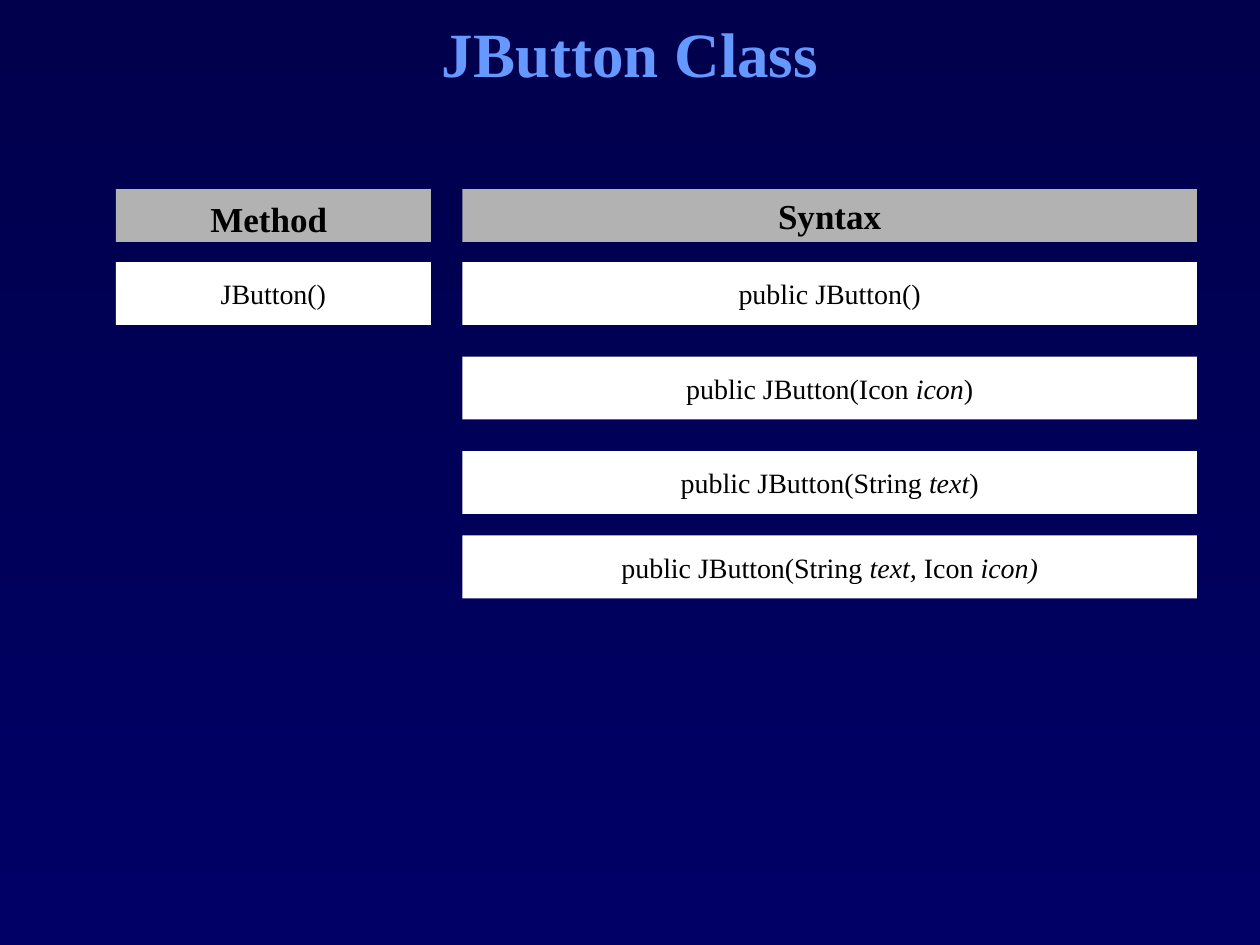
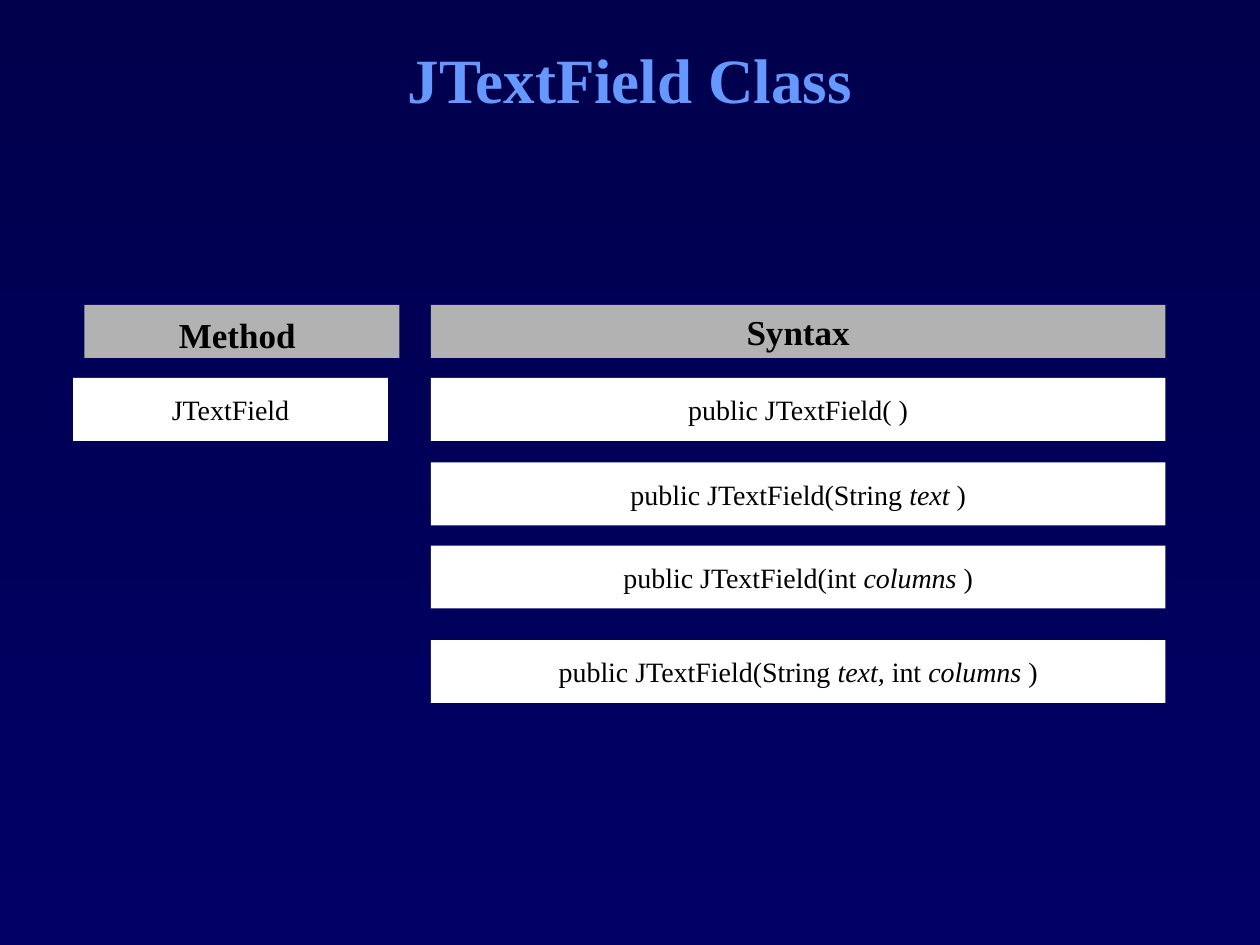
import dataclasses

import lxml.etree
import pptx
import pptx.dml.color
import pptx.enum.shapes
import pptx.enum.text
import pptx.oxml.ns
import pptx.util

Inches = pptx.util.Inches
Pt = pptx.util.Pt
RGB = pptx.dml.color.RGBColor.from_string


@dataclasses.dataclass(frozen=True)
class Theme:
    font: str = "Times New Roman"
    top: str = "00004C"
    base: str = "000066"
    title: str = "6699FF"
    head: str = "B2B2B2"
    cell: str = "FFFFFF"
    ink: str = "000000"
    title_size: int = 36
    head_size: int = 20
    tab_size: int = 24
    cell_size: int = 16


THEME = Theme()

# Column widths, gap between columns, row heights
METHOD_W, SYNTAX_W, GAP = 2.5, 5.83, 0.25
HEAD_H, CELL_H = 0.42, 0.5
HEAD_STEP = 0.58


def add_run(para, text, size, color, bold=False, italic=False):
    run = para.add_run()
    run.text = text
    font = run.font
    font.name, font.size = THEME.font, Pt(size)
    font.bold, font.italic = bold, italic
    font.color.rgb = RGB(color)


def center(frame):
    """Centre a text frame both ways and return its paragraph."""
    frame.vertical_anchor = pptx.enum.text.MSO_ANCHOR.MIDDLE
    para = frame.paragraphs[0]
    para.alignment = pptx.enum.text.PP_ALIGN.CENTER
    return para


def add_tabs(para):
    """Set a left tab stop at every inch."""
    qn = pptx.oxml.ns.qn
    stops = lxml.etree.SubElement(para._p.get_or_add_pPr(), qn("a:tabLst"))
    for inch in range(8):
        lxml.etree.SubElement(stops, qn("a:tab"), pos=str(Inches(inch)), algn="l")


def add_page(deck):
    """Add a slide with the shared gradient background."""
    slide = deck.slides.add_slide(deck.slide_layouts[6])
    fill = slide.background.fill
    fill.gradient()
    fill.gradient_angle = 270
    for stop, color in zip(fill.gradient_stops, (THEME.top, THEME.base)):
        stop.color.rgb = RGB(color)
    return slide


def add_title(slide, text, height):
    box = slide.shapes.add_textbox(Inches(0.75), 0, Inches(8.5), Inches(height))
    box.text_frame.word_wrap = True
    add_run(center(box.text_frame), text, THEME.title_size, THEME.title, bold=True)


def add_bar(slide, left, top, width, height, color):
    """Add a plain rectangle and return its centred paragraph."""
    bar = slide.shapes.add_shape(
        pptx.enum.shapes.MSO_SHAPE.RECTANGLE,
        Inches(left), Inches(top), Inches(width), Inches(height))
    bar.shadow.inherit = False
    bar.fill.solid()
    bar.fill.fore_color.rgb = RGB(color)
    bar.line.fill.background()
    bar.text_frame.word_wrap = False
    return center(bar.text_frame)


def add_head(slide, left, top, width, text, tabbed=False):
    para = add_bar(slide, left, top, width, HEAD_H, THEME.head)
    if tabbed:
        add_tabs(para)
    add_run(para, text, THEME.head_size, THEME.ink, bold=True)
    if tabbed:
        add_run(para, "\t", THEME.tab_size, THEME.ink)


def add_cell(slide, left, top, width, text):
    """Add a white cell; text between asterisks is italic."""
    para = add_bar(slide, left, top, width, CELL_H, THEME.cell)
    for index, part in enumerate(text.split("*")):
        if part:
            add_run(para, part, THEME.cell_size, THEME.ink, italic=index % 2 == 1)


def add_class(deck, title, title_h, left, top, method, method_left, rows):
    """Build one class slide; rows pair a top edge with a syntax line."""
    slide = add_page(deck)
    add_title(slide, title, title_h)
    syntax_left = left + METHOD_W + GAP
    # Header bars
    add_head(slide, left, top, METHOD_W, "Method", tabbed=True)
    add_head(slide, syntax_left, top, SYNTAX_W, "Syntax")
    # Method and its constructors
    add_cell(slide, method_left, top + HEAD_STEP, METHOD_W, method)
    for row_top, text in rows:
        add_cell(slide, syntax_left, row_top, SYNTAX_W, text)


def main():
    deck = pptx.Presentation()
    deck.slide_width, deck.slide_height = Inches(10), Inches(7.5)
    add_class(deck, "JButton Class", 0.83, 0.92, 1.5, "JButton()", 0.92, [
        (2.08, "public JButton()"),
        (2.83, "public JButton(Icon *icon*)"),
        (3.58, "public JButton(String *text*)"),
        (4.25, "public JButton(String *text, *Icon *icon)*"),
    ])
    add_class(deck, "JTextField Class", 1.25, 0.67, 2.42, "JTextField", 0.58, [
        (3, "public JTextField( )"),
        (3.67, "public JTextField(String *text* )"),
        (4.33, "public JTextField(int *columns* )"),
        (5.08, "public JTextField(String *text, *int *columns* )"),
    ])
    deck.save("out.pptx")


if __name__ == "__main__":
    main()
